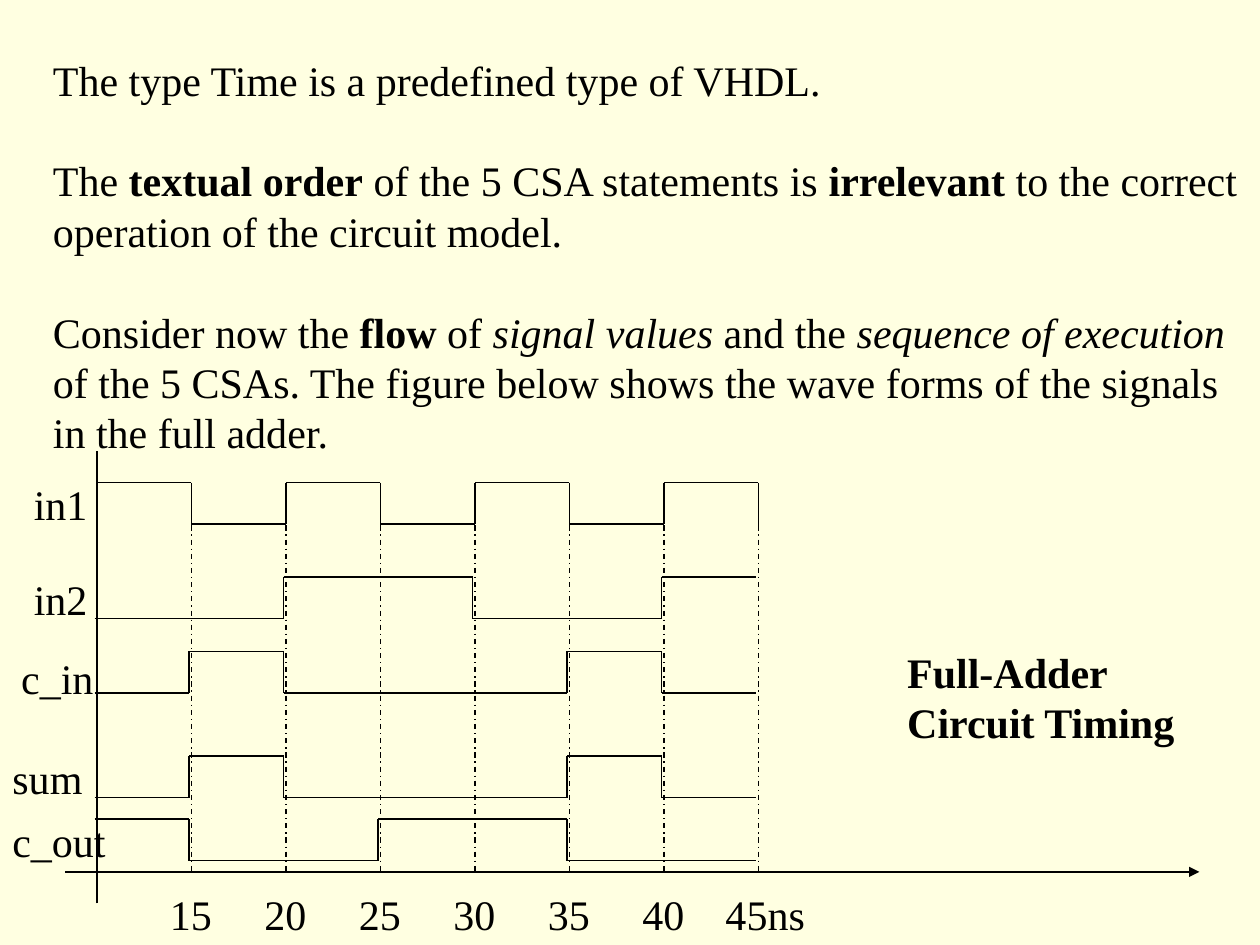
from itertools import groupby

from lxml.etree import SubElement
from pptx import Presentation
from pptx.dml.color import RGBColor
from pptx.enum.dml import MSO_LINE
from pptx.enum.shapes import MSO_CONNECTOR
from pptx.enum.text import MSO_ANCHOR, MSO_AUTO_SIZE, PP_ALIGN
from pptx.oxml.ns import qn
from pptx.util import Inches, Pt

INK = "000000"
PAPER = "FFFFE1"
FONT = "Times New Roman"
STEP = 0.75
DROP = 0.33
BASE = 6.92
PROSE = [
    [("The type Time is a predefined type of VHDL.", "")],
    [("The ", ""), ("textual order", "b"), (" of the 5 CSA statements is ", ""),
     ("irrelevant", "b"),
     (" to the correct operation of the circuit model.", "")],
    [("Consider now the ", ""), ("flow", "b"), (" of ", ""),
     ("signal values", "i"), (" and the ", ""),
     ("sequence of execution", "i"),
     (" of the 5 CSAs. The figure below shows the wave forms of the signals"
      " in the full adder.", "")],
]
WAVES = [
    ("in1", (0.17, 3.75, 0.62), 0.77, 3.83, "1010101"),
    ("in2", (0.17, 4.5, 0.62), 0.75, 4.58, "0011001"),
    ("c_in", (0.07, 5.13, 0.77), 0.75, 5.17, "0100010"),
    ("sum", (0, 5.92, 0.75), 0.75, 6, "0100010"),
    ("c_out", (0, 6.42, 0.94), 0.75, 6.5, "1001100"),
]


def paint(text):
    """Turn a hex string into a colour."""
    return RGBColor.from_string(text)


def place(shape, left, top, width, height):
    """Move and size a shape in inches."""
    shape.left, shape.top = Inches(left), Inches(top)
    shape.width, shape.height = Inches(width), Inches(height)


def style(para, gap=0, bold=False):
    """Give a paragraph the common type and spacing."""
    para.alignment = PP_ALIGN.LEFT
    para.line_spacing = Pt(28.8)
    para.space_before = Pt(gap)
    for run in para.runs:
        run.font.name = FONT
        run.font.size = Pt(24)
        run.font.color.rgb = paint(INK)
        if bold:
            run.font.bold = True


def setup(frame, wrap):
    """Set wrapping and anchor of a text frame."""
    frame.word_wrap = wrap
    frame.auto_size = MSO_AUTO_SIZE.NONE
    frame.vertical_anchor = MSO_ANCHOR.TOP


def add_prose(body):
    """Fill the body with paragraphs of mixed runs."""
    place(body, 0.32, 0.38, 9.68, 3.3)
    frame = body.text_frame
    setup(frame, True)
    for num, parts in enumerate(PROSE):
        para = frame.add_paragraph() if num else frame.paragraphs[0]
        props = para._p.get_or_add_pPr()
        props.set("marL", "0")
        props.set("indent", "0")
        SubElement(props, qn("a:buNone"))
        for text, mark in parts:
            run = para.add_run()
            run.text = text
            if mark:
                run.font.bold = mark == "b"
                run.font.italic = mark == "i"
        style(para, 28.8 if num else 0)


def add_title(title):
    """Set the caption beside the chart."""
    place(title, 7.1, 5.08, 2.5, 0.9)
    frame = title.text_frame
    setup(frame, True)
    frame.text = "Full-Adder\nCircuit Timing"
    for para in frame.paragraphs:
        style(para, bold=True)


def add_label(slide, text, left, top, width, tabs=()):
    """Add one line of text with optional tab stops."""
    box = slide.shapes.add_textbox(
        Inches(left), Inches(top), Inches(width), Inches(0.5))
    frame = box.text_frame
    setup(frame, False)
    frame.text = text
    para = frame.paragraphs[0]
    if tabs:
        stops = SubElement(para._p.get_or_add_pPr(), qn("a:tabLst"))
        for pos in tabs:
            SubElement(stops, qn("a:tab"), pos=str(Inches(pos)), algn="l")
    style(para)


def add_line(slide, start, end, dash=None, arrow=False):
    """Add a thin line, dashed or arrowed on demand."""
    line = slide.shapes.add_connector(
        MSO_CONNECTOR.STRAIGHT, *map(Inches, start + end))
    line.line.color.rgb = paint(INK)
    line.line.width = Pt(0.75)
    if dash:
        line.line.dash_style = dash
    if arrow:
        SubElement(line.line._get_or_add_ln(), qn("a:tailEnd"), type="triangle")
    SubElement(line._element.spPr, qn("a:effectLst"))


def add_wave(slide, left, top, bits):
    """Draw a signal from its bits, one per time step."""
    x = left
    for bit, group in groupby(bits):
        if x > left:
            add_line(slide, (x, top), (x, top + DROP))
        y = top if bit == "1" else top + DROP
        end = x + STEP * len(list(group))
        add_line(slide, (x, y), (end, y))
        x = end


def add_axes(slide):
    """Draw the axes, the time grid and its labels."""
    add_line(slide, (0.52, BASE), (9.52, BASE), arrow=True)
    add_line(slide, (0.77, 7.17), (0.77, 3.58))
    for num in range(1, 8):
        x = 0.77 + num * STEP
        add_line(slide, (x, 4.17), (x, BASE), MSO_LINE.DASH_DOT)
    tabs = [num * STEP for num in range(1, 6)] + [4.41]
    times = "\t".join(str(time) for time in range(15, 50, 5))
    add_label(slide, times + "ns", 1.25, 7, 5.24, tabs)


def main():
    """Build the timing slide."""
    deck = Presentation()
    deck.slide_width, deck.slide_height = Inches(10), Inches(7.5)
    slide = deck.slides.add_slide(deck.slide_layouts[1])
    slide.background.fill.solid()
    slide.background.fill.fore_color.rgb = paint(PAPER)
    add_prose(slide.placeholders[1])
    add_title(slide.shapes.title)
    add_axes(slide)
    for name, spot, left, top, bits in WAVES:
        add_label(slide, name, *spot)
        add_wave(slide, left, top, bits)
    add_line(slide, (6.02, 3.83), (6.02, 4.17))
    deck.save("out.pptx")


if __name__ == "__main__":
    main()
